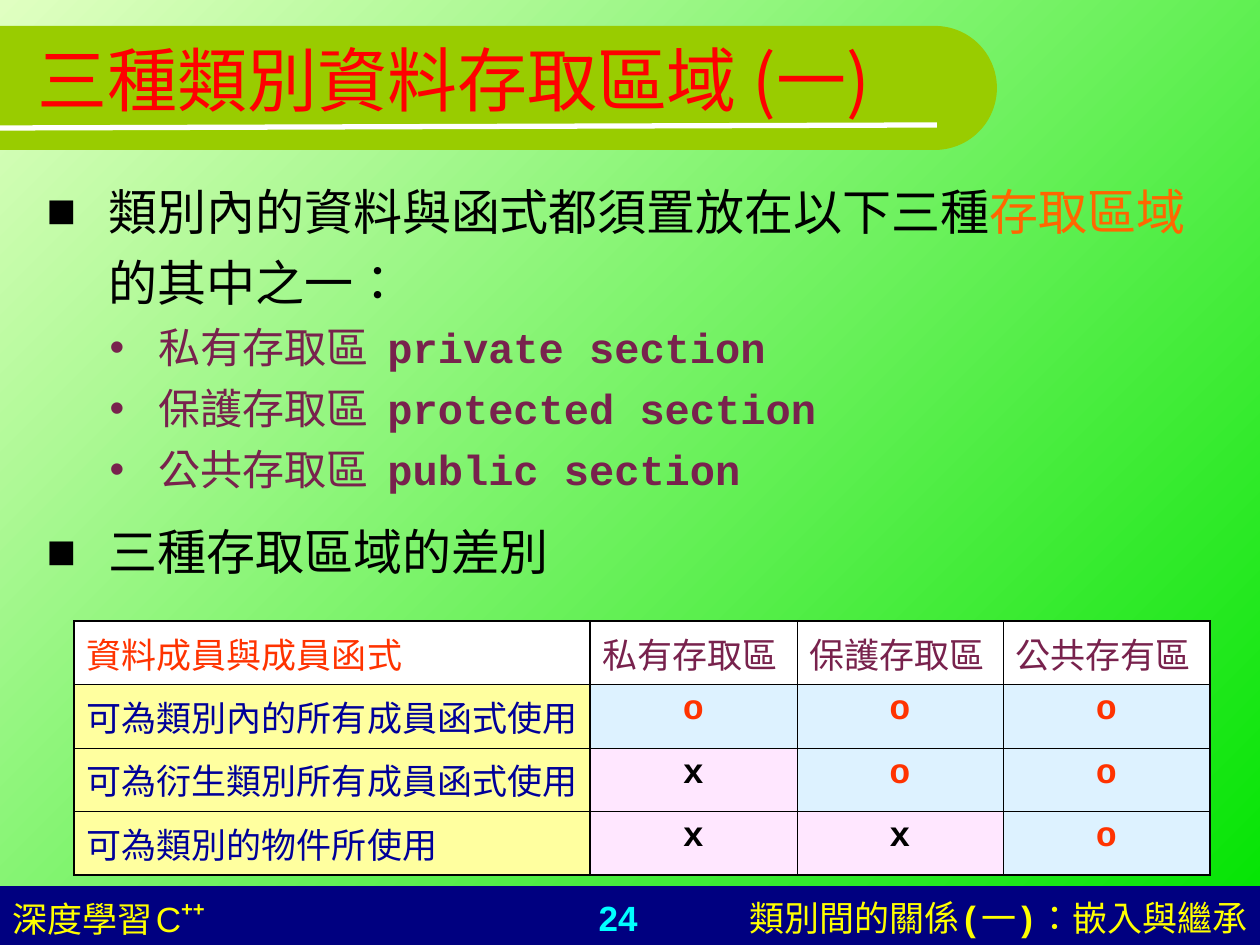
import math

from lxml import etree
from pptx import Presentation
from pptx.dml.color import RGBColor
from pptx.enum.shapes import MSO_CONNECTOR, MSO_SHAPE
from pptx.enum.text import MSO_ANCHOR, MSO_AUTO_SIZE, PP_ALIGN
from pptx.oxml.ns import qn
from pptx.util import Pt

LEFT, CENTER, RIGHT = PP_ALIGN.LEFT, PP_ALIGN.CENTER, PP_ALIGN.RIGHT
RECT, STRAIGHT = MSO_SHAPE.RECTANGLE, MSO_CONNECTOR.STRAIGHT
TOP, MIDDLE, NO_FIT = MSO_ANCHOR.TOP, MSO_ANCHOR.MIDDLE, MSO_AUTO_SIZE.NONE

SCALE = 914400 / 126
CJK, MONO, SANS = "Noto Sans CJK SC", "Courier New", "Arial"
BLACK, PLUM, RED, NAVY = "000000", "78224D", "FF3300", "000099"
YELLOW = "FFFF00"

TITLE = "三種類別資料存取區域 (一)"
# Paragraphs: bullet, left indent, hanging indent, size, space before, runs (text, colour, bold)
BODY = [
    ("■", 62, 62, 28, 0, [("類別內的資料與函式都須置放在以下三種", BLACK, False),
                          ("存取區域", "FF6600", False)]),
    (None, 62, 0, 28, 7, [("的其中之一：", BLACK, False)]),
] + [
    ("•", 112, 49, 24, 6, [(zone + "  ", PLUM, False), (keyword + " section", PLUM, True)])
    for zone, keyword in [("私有存取區", "private"), ("保護存取區", "protected"),
                          ("公共存取區", "public")]
] + [("■", 62, 62, 28, 16, [("三種存取區域的差別", BLACK, False)])]

TABLE = [
    ["資料成員與成員函式", "私有存取區", "保護存取區", "公共存有區"],
    ["可為類別內的所有成員函式使用", "o", "o", "o"],
    ["可為衍生類別所有成員函式使用", "x", "o", "o"],
    ["可為類別的物件所使用", "x", "x", "o"],
]
TABLE_LEFT, TABLE_TOP, ROW_HEIGHT = 74, 621, 63
COL_WIDTHS = [516, 207, 206, 207]
MARKS = {"o": ("DDF2FF", RED), "x": ("FFE7FF", BLACK)}

# Footer boxes: left, width, alignment, runs (text, font, size, colour, bold, superscript)
FOOTER = [
    (471, 294, CENTER, [("24", SANS, 20, "00FFFF", True, 0)]),
    (640, 620, RIGHT, [
        ("類別間的關係", SANS, 20, YELLOW, False, 0), ("(", MONO, 20, YELLOW, True, 0),
        ("一", SANS, 20, YELLOW, False, 0), (")", MONO, 20, YELLOW, True, 0),
        ("：", SANS, 20, YELLOW, False, 0), ("嵌入與繼承", CJK, 20, YELLOW, False, 0)]),
    (0, 451, LEFT, [
        ("深度學習", SANS, 20, YELLOW, False, 0), (" ", SANS, 8, YELLOW, False, 0),
        ("C", SANS, 20, YELLOW, False, 0), ("++", SANS, 20, YELLOW, True, 46000)]),
]


def px(n):
    return round(n * SCALE)


def box(*lengths):
    return [px(n) for n in lengths]


def rgb(value):
    return RGBColor.from_string(value)


def fill(target, color):
    target.fill.solid()
    target.fill.fore_color.rgb = rgb(color)


def style(r, font, size, color, bold=False, superscript=0):
    r.font.name, r.font.size, r.font.bold = font, Pt(size), bold
    r.font.color.rgb = rgb(color)
    rpr = r._r.get_or_add_rPr()
    rpr.set("lang", "zh-TW")
    rpr.find(qn("a:latin")).addnext(rpr.makeelement(qn("a:ea"), {"typeface": CJK}))
    if superscript:
        rpr.set("baseline", str(superscript))


def add_run(p, text, *look):
    r = p.add_run()
    r.text = text
    style(r, *look)


def set_bullet(p, char, color, left, hanging):
    ppr = p._p.get_or_add_pPr()
    ppr.set("marL", str(px(left)))
    ppr.set("indent", str(-px(hanging)))
    if char is None:
        etree.SubElement(ppr, qn("a:buNone"))
        return
    clr = etree.SubElement(ppr, qn("a:buClr"))
    etree.SubElement(clr, qn("a:srgbClr"), val=color)
    etree.SubElement(ppr, qn("a:buFont"), typeface=SANS)
    etree.SubElement(ppr, qn("a:buChar"), char=char)


def set_borders(cell, row, col):
    """Heavy lines frame the table, its header row and its first column."""
    tcpr = cell._tc.get_or_add_tcPr()
    edges = [("a:lnL", col), ("a:lnR", col + 1), ("a:lnT", row), ("a:lnB", row + 1)]
    for i, (tag, edge) in enumerate(edges):
        width = Pt(1.08 if edge in (0, 1, 4) else 0.45)
        ln = etree.Element(qn(tag), w=str(width))
        solid = etree.SubElement(ln, qn("a:solidFill"))
        etree.SubElement(solid, qn("a:srgbClr"), val=BLACK)
        tcpr.insert(i, ln)


def add_banner(shapes):
    top, radius, center = 26, 62, 935
    arc = [math.radians(a) for a in range(-90, 91, 3)]
    points = [(center + radius * math.cos(a), top + radius + radius * math.sin(a)) for a in arc]
    fb = shapes.build_freeform(0, px(top))
    fb.add_line_segments([box(*pt) for pt in points + [(0, top + 2 * radius)]], close=True)
    sp = fb.convert_to_shape()
    sp.shadow.inherit = False
    fill(sp, "99CC00")
    sp.line.fill.background()
    rule = shapes.add_connector(STRAIGHT, *box(0, 128, 937, 125))
    rule.line.color.rgb = rgb("FFFFFF")
    rule.line.width = Pt(3)
    etree.SubElement(rule._element.spPr, qn("a:effectLst"))


def add_footer(shapes):
    bar = shapes.add_shape(RECT, *box(0, 886, 1260, 59))
    bar.shadow.inherit = False
    fill(bar, "000080")
    bar.line.fill.background()
    for left, width, align, runs in FOOTER:
        tf = shapes.add_textbox(*box(left, 890, width, 55)).text_frame
        tf.word_wrap = True
        p = tf.paragraphs[0]
        p.alignment = align
        for run in runs:
            add_run(p, *run)


def place(ph, area, anchor):
    """Move a placeholder to its area, in front of the shapes made so far."""
    ph.left, ph.top, ph.width, ph.height = box(*area)
    tf = ph.text_frame
    tf.auto_size, tf.vertical_anchor = NO_FIT, anchor
    ph._element.getparent().append(ph._element)
    return tf


def add_table(shapes):
    frame = shapes.add_table(len(TABLE), len(COL_WIDTHS), *box(
        TABLE_LEFT, TABLE_TOP, sum(COL_WIDTHS), ROW_HEIGHT * len(TABLE)))
    table = frame.table
    table.first_row = table.horz_banding = False
    for col, width in zip(table.columns, COL_WIDTHS):
        col.width = px(width)
    for i, texts in enumerate(TABLE):
        table.rows[i].height = px(ROW_HEIGHT)
        for j, text in enumerate(texts):
            cell = table.cell(i, j)
            if j == 0:
                cell.margin_right = px(4)
            if i == 0:
                back, color = "FFFFFF", PLUM if j else RED
            else:
                back, color = MARKS.get(text, ("FFFF9F", NAVY))
            fill(cell, back)
            set_borders(cell, i, j)
            p = cell.text_frame.paragraphs[0]
            p.alignment = CENTER if text in MARKS else LEFT
            add_run(p, text, MONO, 20, color, text in MARKS)


def main():
    prs = Presentation()
    prs.slide_width, prs.slide_height = box(1260, 945)
    s = prs.slides.add_slide(prs.slide_layouts[1])
    back = s.background.fill
    back.gradient()
    back.gradient_angle = 315
    for stop, color in zip(back.gradient_stops, ("E0FFC1", "00E400")):
        stop.color.rgb = rgb(color)

    add_footer(s.shapes)
    add_banner(s.shapes)

    title, body = s.shapes.title, s.placeholders[1]
    tf = place(body, (34, 175, 1201, 446), TOP)
    for i, (char, left, hanging, size, before, runs) in enumerate(BODY):
        p = tf.add_paragraph() if i else tf.paragraphs[0]
        p.space_before = Pt(before)
        set_bullet(p, char, runs[0][1], left, hanging)
        for text, color, bold in runs:
            add_run(p, text, MONO, size, color, bold)

    p = place(title, (25, 0, 1134, 157), MIDDLE).paragraphs[0]
    p.alignment = LEFT
    add_run(p, TITLE, CJK, 40, "FF0000")

    add_table(s.shapes)
    prs.save("out.pptx")


if __name__ == "__main__":
    main()
